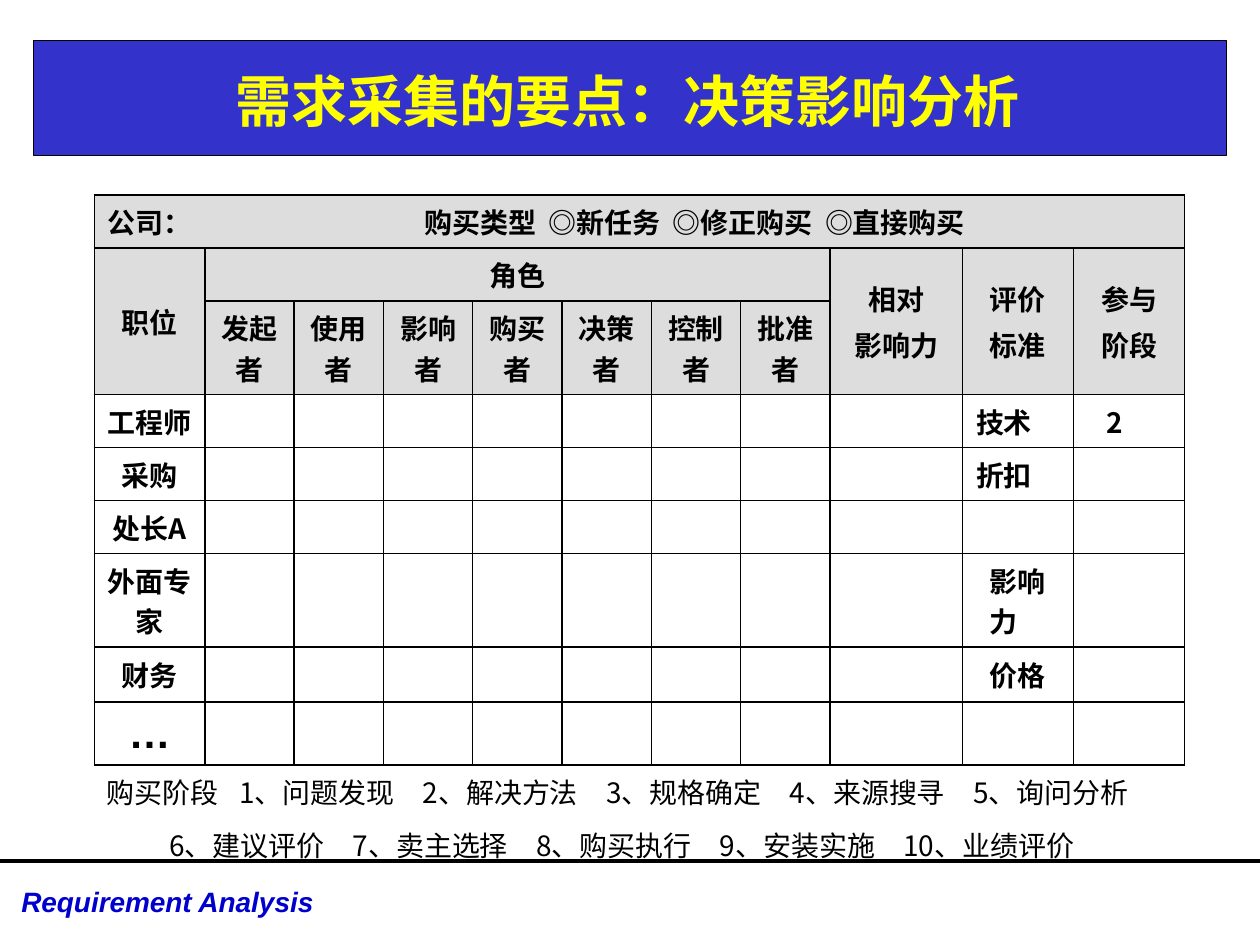
from collections import namedtuple

from lxml import etree
from pptx import Presentation
from pptx import util as u
from pptx.dml.color import RGBColor
from pptx.enum import shapes, text
from pptx.oxml import ns

Box = namedtuple("Box", "left top width height")

COLORS = {
    "banner": "3333CC",
    "title": "FFFF00",
    "footer": "0000CC",
    "header": "DDDDDD",
    "ink": "000000",
}
CJK = "Noto Sans CJK SC"
LATIN = "Arial"
CENTER = text.PP_ALIGN.CENTER
LEFT = text.PP_ALIGN.LEFT
NO_STYLE = "{2D5ABB26-0587-4C30-8999-92F81FD0307C}"

COLUMN_WIDTHS = [2.23] + [1.8] * 7 + [2.67, 2.24, 2.24]
ROW_HEIGHTS = [1.07, 1.07, 1.88, 1.07, 1.07, 1.07, 1.88, 1.11, 1.27, 1.07, 1.07]
HEADER_ROWS = 3
STAGE_ROW = 9
STAGE_PITCH = 3.7
ROLES = ["发起者", "使用者", "影响者", "购买者", "决策者", "控制者", "批准者"]
SPANNING_HEADERS = [
    (1, 0, 2, 0, ["职位"]),
    (1, 1, 1, 7, ["角色"]),
    (1, 8, 2, 8, ["相对", "影响力"]),
    (1, 9, 2, 9, ["评价", "标准"]),
    (1, 10, 2, 10, ["参与", "阶段"]),
]
POSITIONS = [
    ("工程师", "技术　", "2　"),
    ("采购", "折扣　", ""),
    ("处长A", "", ""),
    ("外面专家", "影响力　", ""),
    ("财务", "价格", ""),
    ("…", "", ""),
]
STAGES = [
    (2.67, ["购买阶段", "1、问题发现", "2、解决方法", "3、规格确定", "4、来源搜寻", "5、询问分析"]),
    (1.26, ["", "6、建议评价", "7、卖主选择", "8、购买执行", "9、安装实施", "10、业绩评价"]),
]


def rgb(name):
    return RGBColor.from_string(COLORS[name])


def place(shape, box):
    shape.left, shape.top, shape.width, shape.height = map(u.Cm, box)


def add_run(paragraph, words, size, color="ink", name=CJK, bold=True, italic=False):
    run = paragraph.add_run()
    run.text = words
    font = run.font
    font.size, font.bold, font.italic = u.Pt(size), bold, italic
    font.color.rgb = rgb(color)
    font.name = name
    etree.SubElement(run._r.get_or_add_rPr(), ns.qn("a:ea"), typeface=name)


def write_cell(cell, lines, align=CENTER, size=16, name=CJK, bold=True):
    cell.vertical_anchor = text.MSO_ANCHOR.MIDDLE
    frame = cell.text_frame
    for index, line in enumerate(lines):
        paragraph = frame.add_paragraph() if index else frame.paragraphs[0]
        paragraph.alignment = align
        paragraph.space_after = u.Pt(3)
        add_run(paragraph, line, size, name=name, bold=bold)


def set_borders(cell, sides):
    properties = cell._tc.get_or_add_tcPr()
    for side in "LRTB":
        line = etree.SubElement(properties, ns.qn(f"a:ln{side}"), w=str(u.Pt(1)))
        if side in sides:
            fill = etree.SubElement(line, ns.qn("a:solidFill"))
            etree.SubElement(fill, ns.qn("a:srgbClr"), val=COLORS["ink"])
        else:
            etree.SubElement(line, ns.qn("a:noFill"))


def border_sides(row, column):
    if row == 0:
        return "RTB" if column else "LTB"
    if row < STAGE_ROW:
        return "LRTB"
    return "T" if row == STAGE_ROW else ""


def add_tab_stops(paragraph, first, count):
    tabs = etree.SubElement(paragraph._p.get_or_add_pPr(), ns.qn("a:tabLst"))
    for index in range(count):
        position = u.Cm(first + index * STAGE_PITCH)
        etree.SubElement(tabs, ns.qn("a:tab"), pos=str(position), algn="l")


def add_title_banner(slide, box):
    banner = slide.shapes.add_shape(shapes.MSO_SHAPE.RECTANGLE, 0, 0, 0, 0)
    place(banner, box)
    banner.shadow.inherit = False
    banner.fill.solid()
    banner.fill.fore_color.rgb = rgb("banner")
    banner.line.color.rgb = rgb("ink")
    banner.line.width = u.Pt(0.75)

    title = slide.shapes.title
    place(title, Box(box.left, box.top + 0.1, box.width - 0.08, box.height - 0.1))
    banner._element.addnext(title._element)
    frame = title.text_frame
    frame.auto_size = text.MSO_AUTO_SIZE.NONE
    frame.vertical_anchor = text.MSO_ANCHOR.MIDDLE
    frame.paragraphs[0].alignment = CENTER
    add_run(frame.paragraphs[0], "需求采集的要点：决策影响分析", 32, "title")


def add_footer(slide, box):
    rule = slide.shapes.add_connector(
        shapes.MSO_CONNECTOR.STRAIGHT,
        u.Cm(box.left), u.Cm(box.top), u.Cm(box.left + box.width), u.Cm(box.top),
    )
    rule.line.color.rgb = rgb("ink")
    rule.line.width = u.Pt(2.25)
    etree.SubElement(rule._element.spPr, ns.qn("a:effectLst"))

    label = slide.shapes.add_textbox(0, 0, 0, 0)
    place(label, Box(box.left + 0.18, box.top + 0.36, 7.4, 0.94))
    label.text_frame.word_wrap = True
    add_run(label.text_frame.paragraphs[0], "Requirement Analysis", 16, "footer", LATIN, italic=True)


def add_influence_table(slide, box):
    frame = slide.shapes.add_table(len(ROW_HEIGHTS), len(COLUMN_WIDTHS), *map(u.Cm, box))
    table = frame.table
    table.first_row = table.horz_banding = False
    table._tbl.tblPr.find(ns.qn("a:tableStyleId")).text = NO_STYLE
    for column, width in zip(table.columns, COLUMN_WIDTHS):
        column.width = u.Cm(width)
    for row, height in zip(table.rows, ROW_HEIGHTS):
        row.height = u.Cm(height)

    for row in range(len(ROW_HEIGHTS)):
        for column in range(len(COLUMN_WIDTHS)):
            cell = table.cell(row, column)
            set_borders(cell, border_sides(row, column))
            if row < HEADER_ROWS:
                cell.fill.solid()
                cell.fill.fore_color.rgb = rgb("header")
            else:
                cell.fill.background()

    last = len(COLUMN_WIDTHS) - 1
    write_cell(table.cell(0, 0), ["公司："])
    table.cell(0, 1).merge(table.cell(0, last))
    write_cell(table.cell(0, 1), ["购买类型  ◎新任务  ◎修正购买  ◎直接购买"])
    for top, left, bottom, right, lines in SPANNING_HEADERS:
        table.cell(top, left).merge(table.cell(bottom, right))
        write_cell(table.cell(top, left), lines)
    for column, role in enumerate(ROLES, 1):
        write_cell(table.cell(2, column), [role])

    for row, (position, criterion, stage) in enumerate(POSITIONS, HEADER_ROWS):
        size, name = (24, LATIN) if position == "…" else (16, CJK)
        write_cell(table.cell(row, 0), [position], size=size, name=name)
        for column, words in ((9, criterion), (10, stage)):
            if words:
                write_cell(table.cell(row, column), [words])

    for row, (first_stop, stages) in enumerate(STAGES, STAGE_ROW):
        cell = table.cell(row, 0)
        cell.merge(table.cell(row, last))
        write_cell(cell, ["\t".join(stages)], align=LEFT, bold=False)
        add_tab_stops(cell.text_frame.paragraphs[0], first_stop, len(stages) - 1)


def main():
    presentation = Presentation()
    presentation.slide_width, presentation.slide_height = u.Cm(25.4), u.Cm(19.05)
    slide = presentation.slides.add_slide(presentation.slide_layouts[5])
    add_title_banner(slide, Box(0.67, 0.82, 24.05, 2.31))
    add_footer(slide, Box(0, 17.35, 25.4, 1.7))
    add_influence_table(slide, Box(1.9, 3.93, sum(COLUMN_WIDTHS), sum(ROW_HEIGHTS)))
    presentation.save("out.pptx")


if __name__ == "__main__":
    main()
